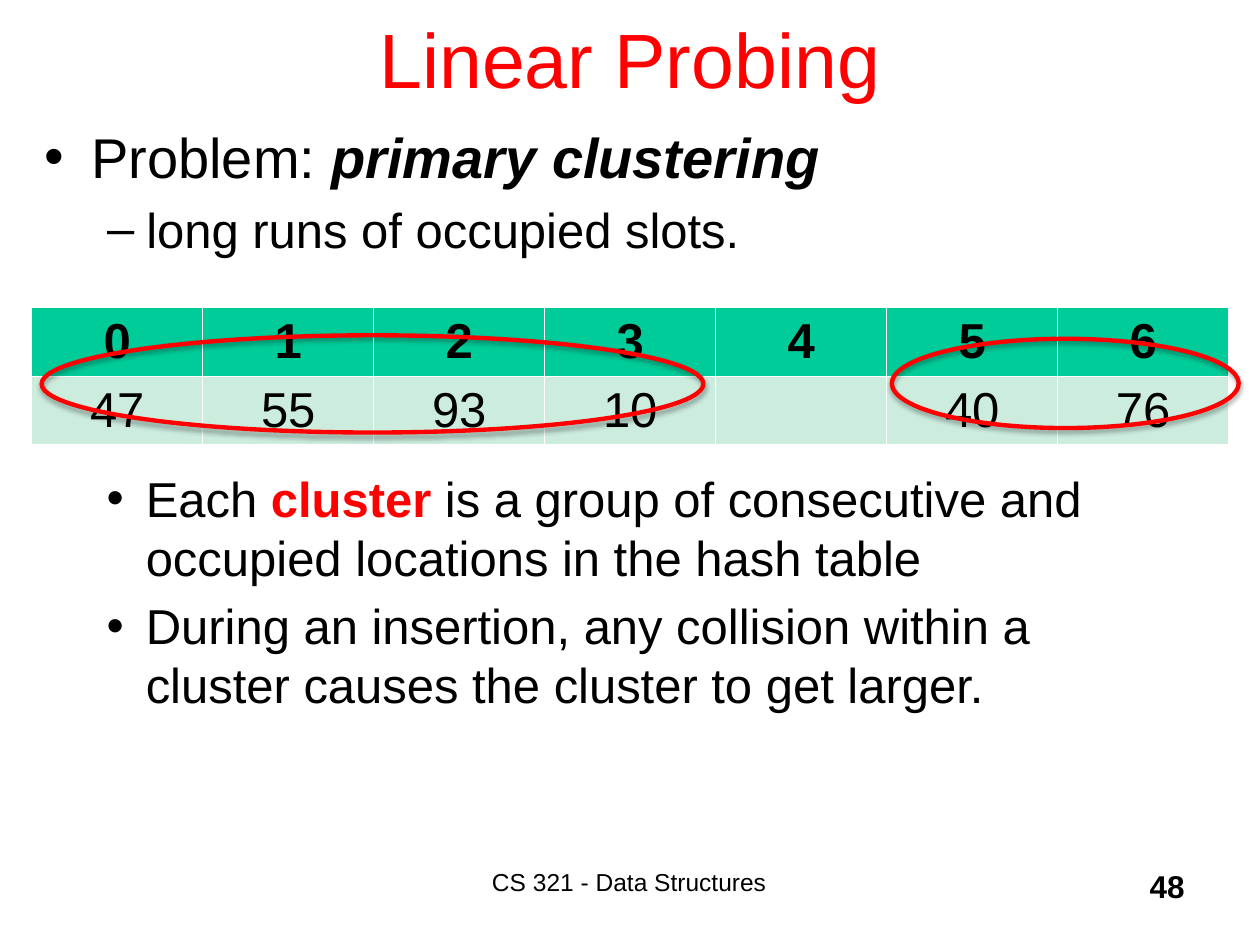
from dataclasses import dataclass

from lxml.etree import SubElement
from pptx import Presentation
from pptx.dml.color import RGBColor as Rgb
from pptx.enum.shapes import MSO_SHAPE as Preset
from pptx.enum.text import MSO_ANCHOR as Anchor, PP_ALIGN as Align
from pptx.oxml.ns import qn
from pptx.util import Cm, Pt


@dataclass(frozen=True)
class Theme:
    font: str = "Arial"
    ink: str = "000000"
    accent: str = "FF0000"
    header: str = "00CC99"
    row: str = "CCECDE"
    title: int = 44
    lead: int = 32
    body: int = 28
    number: int = 18
    footer: int = 14
    ring: float = 2.5


@dataclass(frozen=True)
class Box:
    left: float
    top: float
    width: float
    height: float

    def lengths(self) -> tuple:
        return Cm(self.left), Cm(self.top), Cm(self.width), Cm(self.height)


@dataclass(frozen=True)
class Words:
    text: str
    size: int
    color: str = Theme.ink
    bold: bool = False
    italic: bool = False


@dataclass(frozen=True)
class Line:
    words: tuple
    bullet: str = ""
    indent: float = 0
    hang: float = 0
    level: int = 0
    align: Align = Align.LEFT


def write_line(paragraph, line: Line, first: bool = True) -> None:
    paragraph.alignment = line.align
    paragraph.level = line.level
    if line.bullet:
        props = paragraph._p.get_or_add_pPr()
        props.set("marL", str(Cm(line.indent)))
        props.set("indent", str(-Cm(line.hang)))
        SubElement(props, qn("a:buFont"), typeface=THEME.font)
        SubElement(props, qn("a:buChar"), char=line.bullet)
    if not first:
        paragraph.space_before = Pt(line.words[0].size * 0.2)
    for words in line.words:
        run = paragraph.add_run()
        run.text = words.text
        font = run.font
        font.name, font.size = THEME.font, Pt(words.size)
        font.bold, font.italic = words.bold, words.italic
        font.color.rgb = Rgb.from_string(words.color)


def add_text(slide, box: Box, *lines: Line) -> None:
    frame = slide.shapes.add_textbox(*box.lengths()).text_frame
    frame.word_wrap = True
    for index, line in enumerate(lines):
        paragraph = frame.add_paragraph() if index else frame.paragraphs[0]
        write_line(paragraph, line, first=index == 0)


def add_hash_table(slide, box: Box, slots: list) -> None:
    table = slide.shapes.add_table(2, len(slots), *box.lengths()).table
    rows = ((range(len(slots)), THEME.header, True), (slots, THEME.row, False))
    for r, (values, fill, bold) in enumerate(rows):
        for c, value in enumerate(values):
            cell = table.cell(r, c)
            cell.fill.solid()
            cell.fill.fore_color.rgb = Rgb.from_string(fill)
            cell.vertical_anchor = Anchor.MIDDLE
            cell.margin_top = cell.margin_bottom = Cm(0.1)
            if value is not None:
                key = Words(str(value), THEME.body, bold=bold)
                write_line(cell.text_frame.paragraphs[0],
                           Line((key,), align=Align.CENTER))


def add_ring(slide, box: Box) -> None:
    ring = slide.shapes.add_shape(Preset.OVAL, *box.lengths())
    ring.fill.background()
    ring.line.color.rgb = Rgb.from_string(THEME.accent)
    ring.line.width = Pt(THEME.ring)
    # Soft shadow straight below the outline
    ring.shadow.inherit = False
    effects = ring._element.spPr.find(qn("a:effectLst"))
    shadow = SubElement(effects, qn("a:outerShdw"), blurRad=str(Pt(3.1)),
                        dist=str(Pt(1.8)), dir="5400000", rotWithShape="0")
    black = SubElement(shadow, qn("a:srgbClr"), val=THEME.ink)
    SubElement(black, qn("a:alpha"), val="35000")


THEME = Theme()


def main() -> None:
    deck = Presentation()
    deck.slide_width, deck.slide_height = Cm(25.4), Cm(19.05)
    slide = deck.slides.add_slide(deck.slide_layouts[5])

    # Title
    title = slide.shapes.title
    title.left, title.top, title.width, title.height = Box(
        1.9, -0.43, 21.6, 3.18).lengths()
    title.text_frame.vertical_anchor = Anchor.MIDDLE
    write_line(title.text_frame.paragraphs[0], Line(
        (Words("Linear Probing", THEME.title, THEME.accent),),
        align=Align.CENTER))

    # Problem statement
    add_text(
        slide, Box(0.64, 2.34, 24.13, 3.18),
        Line((Words("Problem: ", THEME.lead),
              Words("primary clustering", THEME.lead, bold=True, italic=True)),
             "•", 0.95, 0.95),
        Line((Words("long runs of occupied slots.", THEME.body),),
             "–", 2.06, 0.79, level=1))

    # Hash table
    add_hash_table(slide, Box(0.64, 6.2, 24.13, 2.68),
                   [47, 55, 93, 10, None, 40, 76])

    # What a cluster is
    add_text(
        slide, Box(1.9, 9.32, 21.5, 5.28),
        Line((Words("Each ", THEME.body),
              Words("cluster", THEME.body, THEME.accent, bold=True),
              Words(" is a group of consecutive and occupied locations "
                    "in the hash table", THEME.body)), "•", 0.79, 0.79),
        Line((Words("During an insertion, any collision within a cluster "
                    "causes the cluster to get larger.", THEME.body),),
             "•", 0.79, 0.79))

    # Rings around the two clusters
    for cluster in (Box(0.84, 6.76, 13.34, 1.96), Box(17.98, 6.83, 6.99, 1.8)):
        add_ring(slide, cluster)

    # Footer and slide number
    add_text(slide, Box(7.82, 17.35, 9.73, 1.27), Line(
        (Words("CS 321 - Data Structures", THEME.footer),),
        align=Align.CENTER))
    add_text(slide, Box(18.85, 17.35, 5.28, 1.27), Line(
        (Words("48", THEME.number, bold=True),), align=Align.RIGHT))

    deck.save("out.pptx")


if __name__ == "__main__":
    main()
